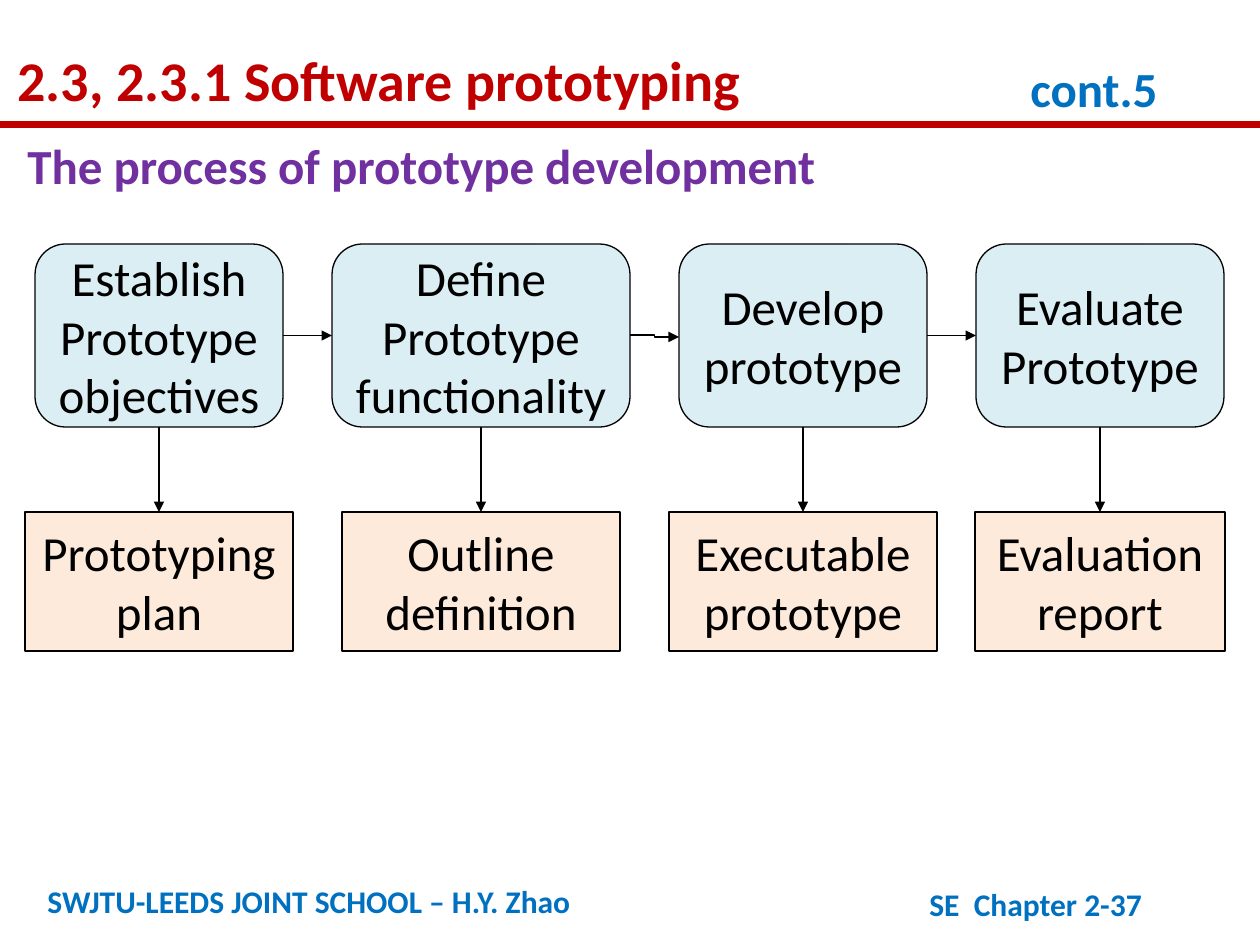
from pptx import Presentation
from pptx.dml.color import RGBColor
from pptx.enum.shapes import MSO_CONNECTOR, MSO_SHAPE
from pptx.enum.text import MSO_ANCHOR, MSO_AUTO_SIZE, PP_ALIGN
from pptx.oxml.ns import qn
from pptx.oxml.xmlchemy import OxmlElement
from pptx.util import Inches, Pt

SCALE = Inches(1) / 126
FONT = "Calibri"
COLORS = {
    "red": "C00000",
    "blue": "0070C0",
    "purple": "7030A0",
    "black": "000000",
    "step": "DBEEF4",
    "product": "FDEADA",
}
STAGES = [
    (248, ["Establish", "Prototype", "objectives"], 268, ["Prototyping", "plan"]),
    (298, ["Define", "Prototype", "functionality"], 278, ["Outline", "definition"]),
    (248, ["Develop", "prototype"], 268, ["Executable", "prototype"]),
    (248, ["Evaluate", "Prototype"], 250, ["Evaluation", "report"]),
]


def px(*lengths):
    """Turn pixel lengths into a list of EMU."""
    return [round(length * SCALE) for length in lengths]


def color(name):
    """Return the named colour."""
    return RGBColor.from_string(COLORS[name])


def set_text(shape, lines, size=28, fill="black", bold=False, align=PP_ALIGN.LEFT,
             anchor=MSO_ANCHOR.TOP, spacing=None, margins=None):
    """Write one formatted paragraph per line into a shape."""
    frame = shape.text_frame
    frame.word_wrap = True
    frame.auto_size = MSO_AUTO_SIZE.NONE
    frame.vertical_anchor = anchor
    if margins is not None:
        frame.margin_left = frame.margin_right = margins
    for index, line in enumerate(lines):
        paragraph = frame.add_paragraph() if index else frame.paragraphs[0]
        paragraph.alignment = align
        paragraph.line_spacing = spacing
        run = paragraph.add_run()
        run.text = line
        run.font.name = FONT
        run.font.size = Pt(size)
        run.font.bold = bold
        run.font.color.rgb = color(fill)


def add_label(slide, box, text, **text_format):
    """Add a bold text box."""
    label = slide.shapes.add_textbox(*px(*box))
    set_text(label, [text], bold=True, **text_format)


def add_node(slide, kind, box, lines, fill):
    """Add an outlined shape with centred text."""
    node = slide.shapes.add_shape(kind, *px(*box))
    node.shadow.inherit = False
    node.fill.solid()
    node.fill.fore_color.rgb = color(fill)
    node.line.color.rgb = color("black")
    node.line.width = Pt(0.75)
    set_text(node, lines, align=PP_ALIGN.CENTER, anchor=MSO_ANCHOR.MIDDLE, margins=0)
    return node


def add_line(slide, points, stroke="black", width=0.75, arrow=True,
             kind=MSO_CONNECTOR.STRAIGHT):
    """Add a connector without shadow, by default with an arrowhead."""
    line = slide.shapes.add_connector(kind, *px(*points))
    line.line.color.rgb = color(stroke)
    line.line.width = Pt(width)
    properties = line.element.spPr
    if arrow:
        head = OxmlElement("a:tailEnd")
        head.set("type", "triangle")
        properties.find(qn("a:ln")).append(head)
    properties.append(OxmlElement("a:effectLst"))
    return line


def join(slide, start, start_side, end, end_side):
    """Draw an arrow between the sides of two nodes."""
    arrow = add_line(slide, (0, 0, 0, 0))
    arrow.begin_connect(start, start_side)
    arrow.end_connect(end, end_side)


def add_header(slide, left, top, width):
    """Place the title, its rule, the continuation mark and the subtitle."""
    add_line(slide, (left, top + 125, left + width, top + 125), "red", 4, arrow=False)
    title = slide.shapes.title
    title.left, title.top, title.width, title.height = px(left + 5, top + 26, 953, 88)
    set_text(title, ["2.3, 2.3.1 Software prototyping"], size=32, fill="red",
             bold=True, spacing=1.2)
    add_label(slide, (left + 1018, top + 76, 197, 52), "cont.5", fill="blue",
              spacing=Pt(20))
    add_label(slide, (left + 15, top + 129, 1232, 72),
              "The process of prototype development", fill="purple")


def add_process(slide, left, top, gap=49, step_height=183, product_height=139):
    """Place the chain of steps, each with its product below."""
    steps = []
    step_left = left
    product_top = top + step_height + 85
    for step_width, step_lines, product_width, product_lines in STAGES:
        step = add_node(slide, MSO_SHAPE.ROUNDED_RECTANGLE,
                        (step_left, top, step_width, step_height), step_lines, "step")
        product_left = step_left + (step_width - product_width) // 2
        product = add_node(slide, MSO_SHAPE.RECTANGLE,
                           (product_left, product_top, product_width, product_height),
                           product_lines, "product")
        join(slide, step, 2, product, 0)
        steps.append(step)
        step_left += step_width + gap
    join(slide, steps[0], 3, steps[1], 1)
    join(slide, steps[2], 3, steps[3], 1)
    bend_left = left + STAGES[0][0] + gap + STAGES[1][0]
    bend_top = top + step_height // 2
    add_line(slide, (bend_left, bend_top, bend_left + gap, bend_top + 2),
             kind=MSO_CONNECTOR.ELBOW)


def add_footer(slide, left, top):
    """Place the school and the chapter number."""
    add_label(slide, (left, top, 795, 50), "SWJTU-LEEDS JOINT SCHOOL – H.Y. Zhao",
              size=18, fill="blue")
    add_label(slide, (left + 882, top + 3, 329, 50), "SE  Chapter 2-37",
              size=18, fill="blue")


def main():
    """Build and save the slide."""
    presentation = Presentation()
    presentation.slide_width, presentation.slide_height = px(1260, 945)
    slide = presentation.slides.add_slide(presentation.slide_layouts[5])
    add_header(slide, 0, 0, 1260)
    add_process(slide, 35, 244)
    add_footer(slide, 35, 876)
    presentation.save("out.pptx")


if __name__ == "__main__":
    main()
